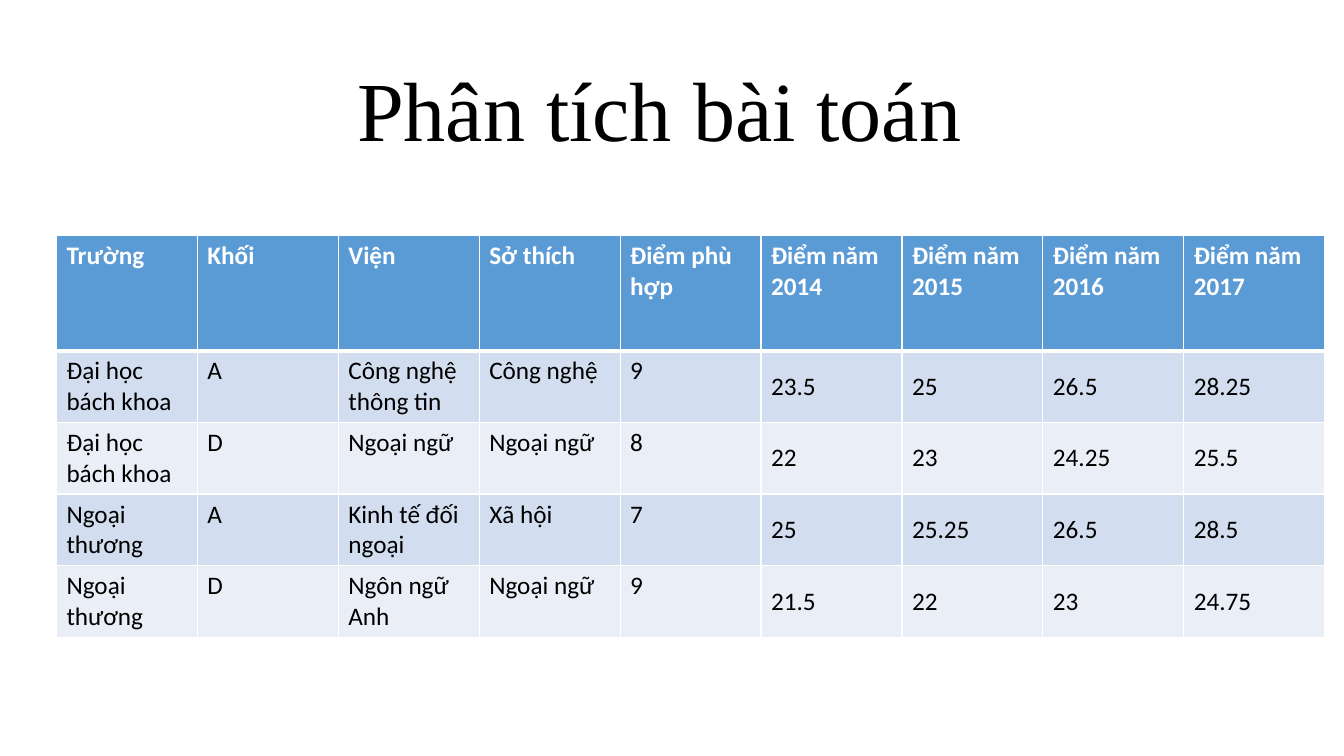
"""Build a slide that compares school entry scores in a table."""
from dataclasses import dataclass

from lxml.etree import SubElement as Sub
from pptx import Presentation
from pptx.dml.color import RGBColor as RGB
from pptx.enum.text import MSO_ANCHOR as Anchor, MSO_AUTO_SIZE as Fit, PP_ALIGN as Align
from pptx.oxml.ns import qn
from pptx.slide import Slide
from pptx.table import _Cell as Cell
from pptx.text.text import _Paragraph as Para
from pptx.util import Inches, Pt


@dataclass(frozen=True)
class Theme:
    ink: str = "000000"
    paper: str = "FFFFFF"
    head: str = "5B9BD5"
    bands: tuple[str, str] = ("D2DEEF", "EAEFF7")
    serif: str = "Times New Roman"
    sans: str = "Calibri"
    title: int = 60
    body: int = 18
    thin: int = 1
    thick: int = 3


@dataclass(frozen=True)
class School:
    name: str
    block: str
    field: str
    taste: str
    match: str
    scores: tuple[str, ...]

    def cells(self) -> tuple[str, ...]:
        return (self.name, self.block, self.field, self.taste, self.match, *self.scores)


THEME = Theme()
YEARS = range(2014, 2018)
HEADS = ("Trường", "Khối", "Viện", "Sở thích", "Điểm phù hợp",
         *(f"Điểm năm {year}" for year in YEARS))
FIRST = len(HEADS) - len(YEARS)
SCHOOLS = (
    School("Đại học bách khoa", "A", "Công nghệ thông tin", "Công nghệ", "9",
           ("23.5", "25", "26.5", "28.25")),
    School("Đại học bách khoa", "D", "Ngoại ngữ", "Ngoại ngữ", "8",
           ("22", "23", "24.25", "25.5")),
    School("Ngoại thương", "A", "Kinh tế đối ngoại", "Xã hội", "7",
           ("25", "25.25", "26.5", "28.5")),
    School("Ngoại thương", "D", "Ngôn ngữ Anh", "Ngoại ngữ", "9",
           ("21.5", "22", "23", "24.75")),
)


def add_run(para: Para, text: str, font: str, size: int, color: str,
            bold: bool = False) -> None:
    run = para.add_run()
    run.text = text
    run.font.name = font
    run.font.size = Pt(size)
    run.font.bold = bold
    run.font.color.rgb = RGB.from_string(color)


def add_edges(cell: Cell, top: int, base: int) -> None:
    props = cell._tc.get_or_add_tcPr()
    sides = {"L": THEME.thin, "R": THEME.thin, "T": top, "B": base}
    for side, width in sides.items():
        line = Sub(props, qn(f"a:ln{side}"), w=str(Pt(width)))
        fill = Sub(line, qn("a:solidFill"))
        Sub(fill, qn("a:srgbClr"), val=THEME.paper)


def add_title(slide: Slide, text: str) -> None:
    shape = slide.shapes.title
    shape.left, shape.top = Inches(2.33), Inches(0)
    shape.width, shape.height = Inches(8.42), Inches(1.63)
    frame = shape.text_frame
    frame.word_wrap = True
    frame.auto_size = Fit.NONE
    frame.vertical_anchor = Anchor.BOTTOM
    para = frame.paragraphs[0]
    para.alignment = Align.CENTER
    para.line_spacing = 0.9
    add_run(para, text, THEME.serif, THEME.title, THEME.ink)


def add_scores(slide: Slide) -> None:
    rows = (HEADS, *(school.cells() for school in SCHOOLS))
    table = slide.shapes.add_table(len(rows), len(HEADS), Inches(0.56), Inches(2.34),
                                   Inches(12.58), Inches(3.78)).table
    for r, texts in enumerate(rows):
        head = r == 0
        table.rows[r].height = Inches(1.14 if head else 0.66)
        back = THEME.head if head else THEME.bands[(r - 1) % 2]
        top = THEME.thick if r == 1 else THEME.thin
        base = THEME.thick if head else THEME.thin
        for c, text in enumerate(texts):
            cell = table.cell(r, c)
            add_edges(cell, top, base)
            cell.fill.solid()
            cell.fill.fore_color.rgb = RGB.from_string(back)
            score = not head and c >= FIRST
            cell.vertical_anchor = Anchor.MIDDLE if score else Anchor.TOP
            add_run(cell.text_frame.paragraphs[0], text, THEME.sans, THEME.body,
                    THEME.paper if head else THEME.ink, head)


def main() -> None:
    deck = Presentation()
    deck.slide_width, deck.slide_height = Inches(13.33), Inches(7.5)
    slide = deck.slides.add_slide(deck.slide_layouts.get_by_name("Title Only"))
    add_title(slide, "Phân tích bài toán")
    add_scores(slide)
    deck.save("out.pptx")


main()
